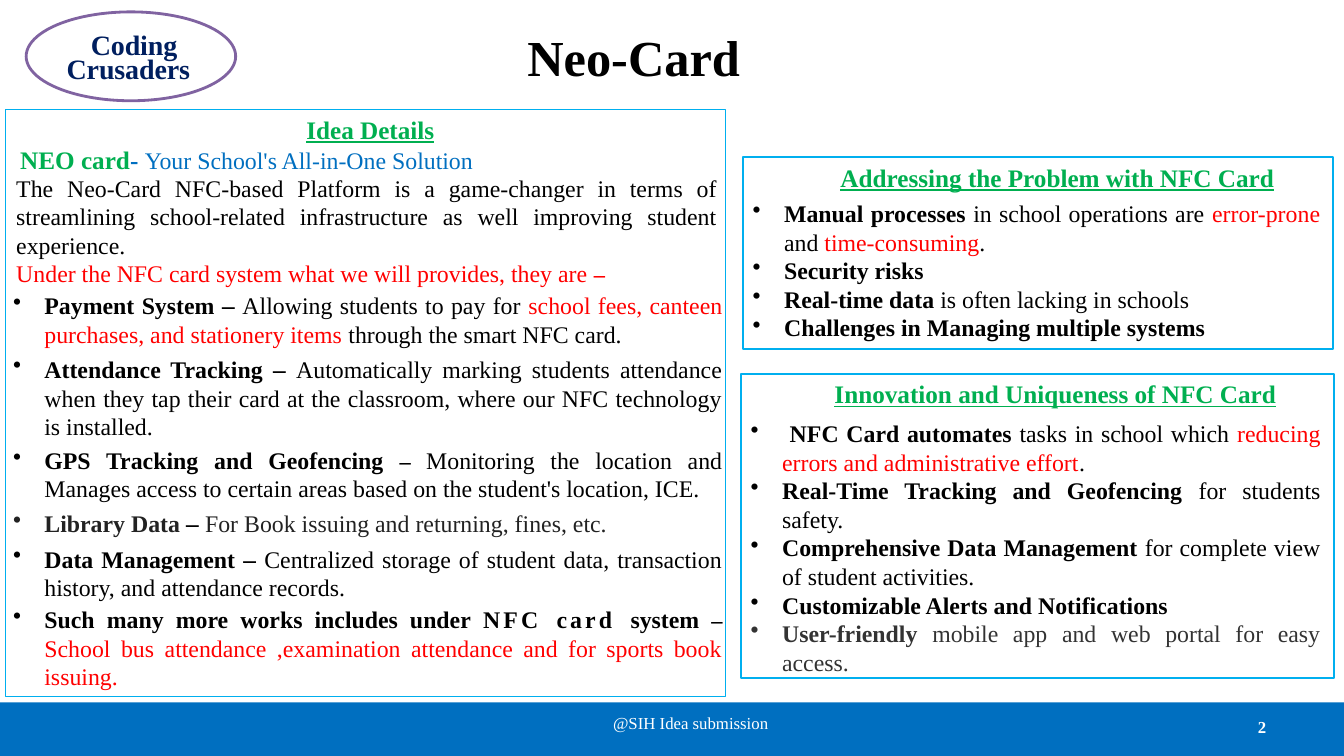
from dataclasses import dataclass

from lxml.etree import SubElement
from pptx import Presentation
from pptx.dml.color import RGBColor
from pptx.enum.shapes import MSO_SHAPE
from pptx.enum.text import MSO_ANCHOR, PP_ALIGN
from pptx.oxml.ns import qn
from pptx.util import Cm, Pt

FONT = "Times New Roman"
BLACK = RGBColor(0x00, 0x00, 0x00)
WHITE = RGBColor(0xFF, 0xFF, 0xFF)
RED = RGBColor(0xFF, 0x00, 0x00)
GREEN = RGBColor(0x00, 0xAF, 0x50)
BLUE = RGBColor(0x00, 0x6F, 0xC0)
SKY = RGBColor(0x00, 0xAF, 0xEF)
NAVY = RGBColor(0x00, 0x1F, 0x5F)
PURPLE = RGBColor(0x80, 0x63, 0xA1)
CHARCOAL = RGBColor(0x22, 0x22, 0x22)
GRAY = RGBColor(0x33, 0x33, 0x33)


@dataclass
class Span:
    """A stretch of text in one style."""
    text: str
    color: RGBColor = BLACK
    bold: bool = False
    size: float = 17
    underline: bool = False
    spacing: float = 0


def strong(text, color=BLACK, size=17, spacing=0):
    """Return a bold span."""
    return Span(text, color, True, size, spacing=spacing)


def heading(text):
    """Return a green underlined heading span."""
    return Span(text, GREEN, True, 18, True)


PROBLEMS = [
    [strong("Manual processes "), Span("in school operations are "), Span("error-prone ", RED),
     Span("and "), Span("time-consuming", RED), Span(".")],
    [strong("Security risks")],
    [strong("Real-time data "), Span("is often lacking in schools")],
    [strong("Challenges in Managing multiple systems")],
]
INNOVATIONS = [
    [strong(" NFC Card automates "), Span("tasks in school which "),
     Span("reducing errors and administrative effort", RED), Span(".")],
    [strong("Real-Time Tracking and Geofencing "), Span("for students safety.")],
    [strong("Comprehensive Data Management "), Span("for complete view of student activities.")],
    [strong("Customizable Alerts and Notifications")],
    [strong("User-friendly ", GRAY), Span("mobile app and web portal for easy access.", GRAY)],
]
FEATURES = [
    (1, [strong("Payment System "), strong("– ", size=18), Span("Allowing students to pay for "),
         Span("school fees, canteen purchases, and stationery items ", RED),
         Span("through the smart NFC card.")]),
    (3.6, [strong("Attendance Tracking "), strong("– ", size=18),
           Span("Automatically marking students attendance when they tap their card at the "
                "classroom, where our NFC technology is installed.")]),
    (3.6, [strong("GPS Tracking and Geofencing "), strong("– ", size=16),
           Span("Monitoring the location and Manages access to certain areas based on the "
                "student's location, ICE.")]),
    (3.5, [strong("Library Data ", CHARCOAL), strong("– ", size=18),
           Span("For Book issuing and returning, fines, etc.", CHARCOAL)]),
    (3.6, [strong("Data Management "), strong("– ", size=18),
           Span("Centralized storage of student data, transaction history, and attendance "
                "records.")]),
    (2.4, [strong("Such many more works includes under "), strong("NFC card ", spacing=2.2),
           strong("system "), strong("– ", size=16),
           Span("School bus attendance ,examination attendance and for sports book issuing.", RED)]),
]


def add_outline(page, kind, left, top, width, height, line=None, weight=1.5, fill=None):
    """Add a preset shape with an optional line and fill."""
    shape = page.shapes.add_shape(kind, Cm(left), Cm(top), Cm(width), Cm(height))
    shape.shadow.inherit = False
    if fill is None:
        shape.fill.background()
    else:
        shape.fill.solid()
        shape.fill.fore_color.rgb = fill
    if line is None:
        shape.line.fill.background()
    else:
        shape.line.color.rgb = line
        shape.line.width = Pt(weight)
    return shape


def prepare_frame(shape, top=0.03, right=0):
    """Set wrapping, anchor and insets, and return the text frame."""
    frame = shape.text_frame
    frame.word_wrap = True
    frame.vertical_anchor = MSO_ANCHOR.TOP
    frame.margin_left = frame.margin_bottom = 0
    frame.margin_top, frame.margin_right = Cm(top), Cm(right)
    return frame


def add_textbox(page, left, top, width, height, inset=0.03):
    """Add a text box and return its frame."""
    box = page.shapes.add_textbox(Cm(left), Cm(top), Cm(width), Cm(height))
    return prepare_frame(box, inset)


def add_para(frame, spans, before=0, indent=0.03, hanging=0, align=PP_ALIGN.LEFT):
    """Write spans as a paragraph, bulleted when it has a hanging indent."""
    first = frame.paragraphs[0]
    para = first if not first.runs else frame.add_paragraph()
    para.alignment = align
    para.space_before = Pt(before)
    properties = para._p.get_or_add_pPr()
    properties.set("marL", str(Cm(indent)))
    properties.set("indent", str(-Cm(hanging)))
    if hanging:
        SubElement(properties, qn("a:buChar"), char="•")
    for span in spans:
        run = para.add_run()
        run.text = span.text
        font = run.font
        font.name, font.size, font.bold = FONT, Pt(span.size), span.bold
        font.underline = span.underline
        font.color.rgb = span.color
        if span.spacing:
            run._r.get_or_add_rPr().set("spc", str(round(span.spacing * 100)))
    return para


def add_panel(page, left, top, width, height, title, indent, items, gap):
    """Add a framed panel with a heading and bullets."""
    panel = add_outline(page, MSO_SHAPE.RECTANGLE, left, top, width, height, SKY)
    frame = prepare_frame(panel, 0.12, 0.33)
    add_para(frame, [heading(title)], 3.2, indent)
    for index, spans in enumerate(items):
        add_para(frame, spans, 0 if index else gap, 1.04, 0.79, PP_ALIGN.JUSTIFY)


def add_label(page, left, top, width, height, span, before=1):
    """Add a one-line text box."""
    add_para(add_textbox(page, left, top, width, height), [span], before)


def add_footer_text(page, left, top, width, height, span):
    """Add a footer line with exact line spacing."""
    para = add_para(add_textbox(page, left, top, width, height, 0), [span])
    para.line_spacing = Pt(14.1)


def add_idea_details(page):
    """Add the left panel with the idea and its features."""
    intro = add_textbox(page, 0.48, 2.84, 11.79, 1.57)
    add_para(intro, [heading("Idea Details")], 1, 7.24)
    add_para(intro, [strong("NEO card", GREEN, 18), strong("- ", BLUE, 18),
                     Span("Your School's All-in-One Solution", BLUE)])
    summary = add_textbox(page, 0.38, 4.34, 17.7, 2.95)
    add_para(summary, [Span("The Neo-Card NFC-based Platform is a game-changer in terms "
                            "of streamlining school-related infrastructure as well improving "
                            "student experience.")], 1.1, align=PP_ALIGN.JUSTIFY)
    add_para(summary, [Span("Under the NFC card system what we will provides, they are ", RED),
                       strong("–", RED, 16)], align=PP_ALIGN.JUSTIFY)
    features = add_textbox(page, 0.28, 7.26, 17.93, 10.29)
    for before, spans in FEATURES:
        add_para(features, spans, before, 0.84, 0.79, PP_ALIGN.JUSTIFY)
    add_outline(page, MSO_SHAPE.RECTANGLE, 0.13, 2.77, 18.16, 14.78, SKY, 0.75)


def main():
    """Build the slide and save it."""
    deck = Presentation()
    deck.slide_width, deck.slide_height = Cm(33.87), Cm(19.05)
    page = deck.slides.add_slide(deck.slide_layouts[6])
    add_outline(page, MSO_SHAPE.RECTANGLE, 0, 17.7, 33.87, 1.35, fill=BLUE)
    add_label(page, 13.26, 0.64, 7.37, 1.57, strong("Neo-Card", size=36))
    add_outline(page, MSO_SHAPE.OVAL, 0.66, 0.3, 5.28, 2.24, PURPLE, 2)
    add_label(page, 2.26, 0.66, 3.25, 0.89, strong("Coding", NAVY, 20, -0.1))
    add_label(page, 1.65, 1.27, 4.32, 0.89, strong("Crusaders", NAVY, 20, -0.1))
    add_panel(page, 18.72, 3.96, 14.88, 4.83, "Addressing the Problem with NFC Card",
              2.46, PROBLEMS, 4.8)
    add_panel(page, 18.67, 9.42, 14.94, 7.67, "Innovation and Uniqueness of NFC Card",
              2.36, INNOVATIONS, 7.2)
    add_idea_details(page)
    add_footer_text(page, 15.42, 17.98, 4.17, 0.51, Span("@SIH Idea submission", WHITE, size=12))
    add_footer_text(page, 31.67, 18.08, 0.3, 0.53, strong("2", WHITE, 12))
    deck.save("out.pptx")


if __name__ == "__main__":
    main()
